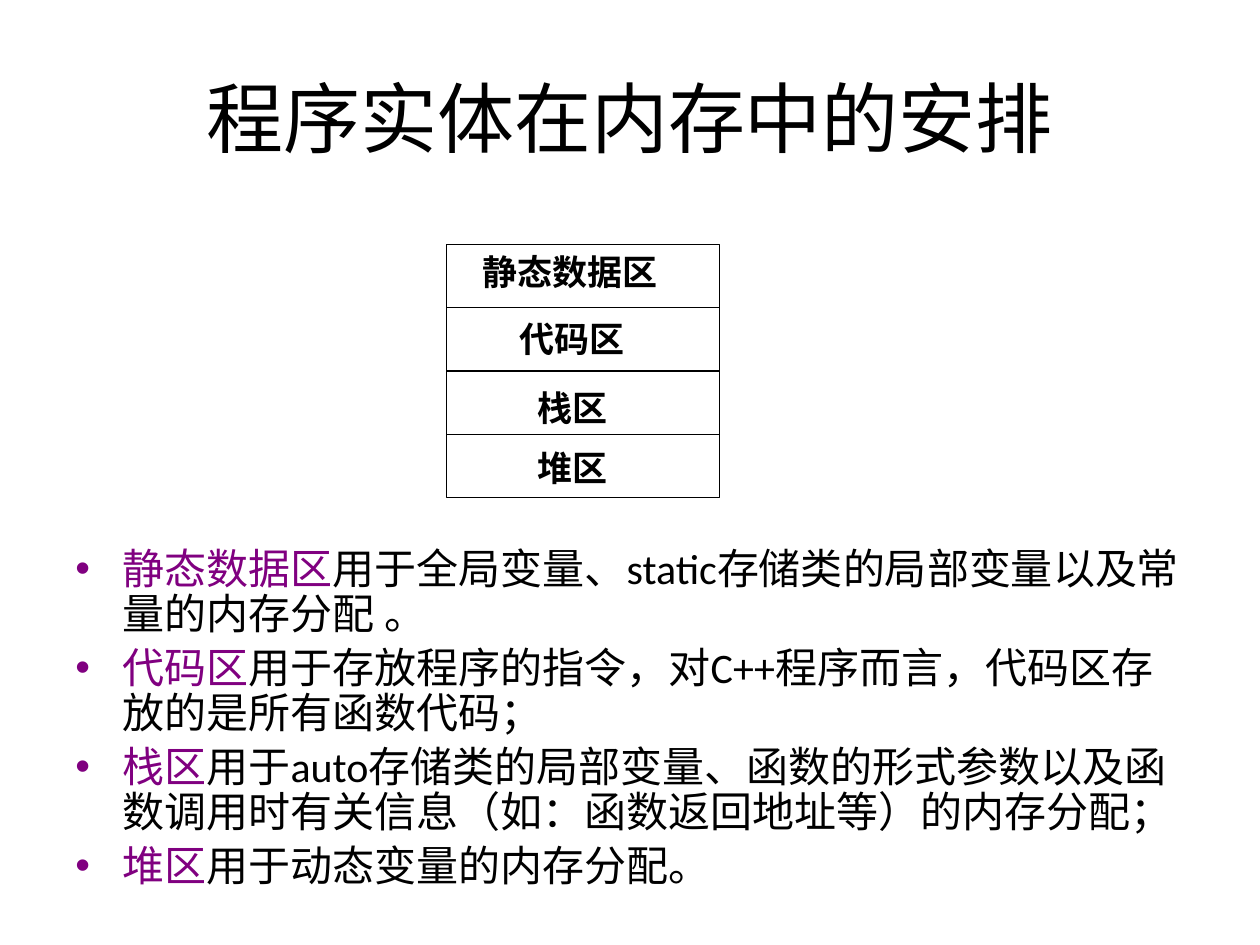
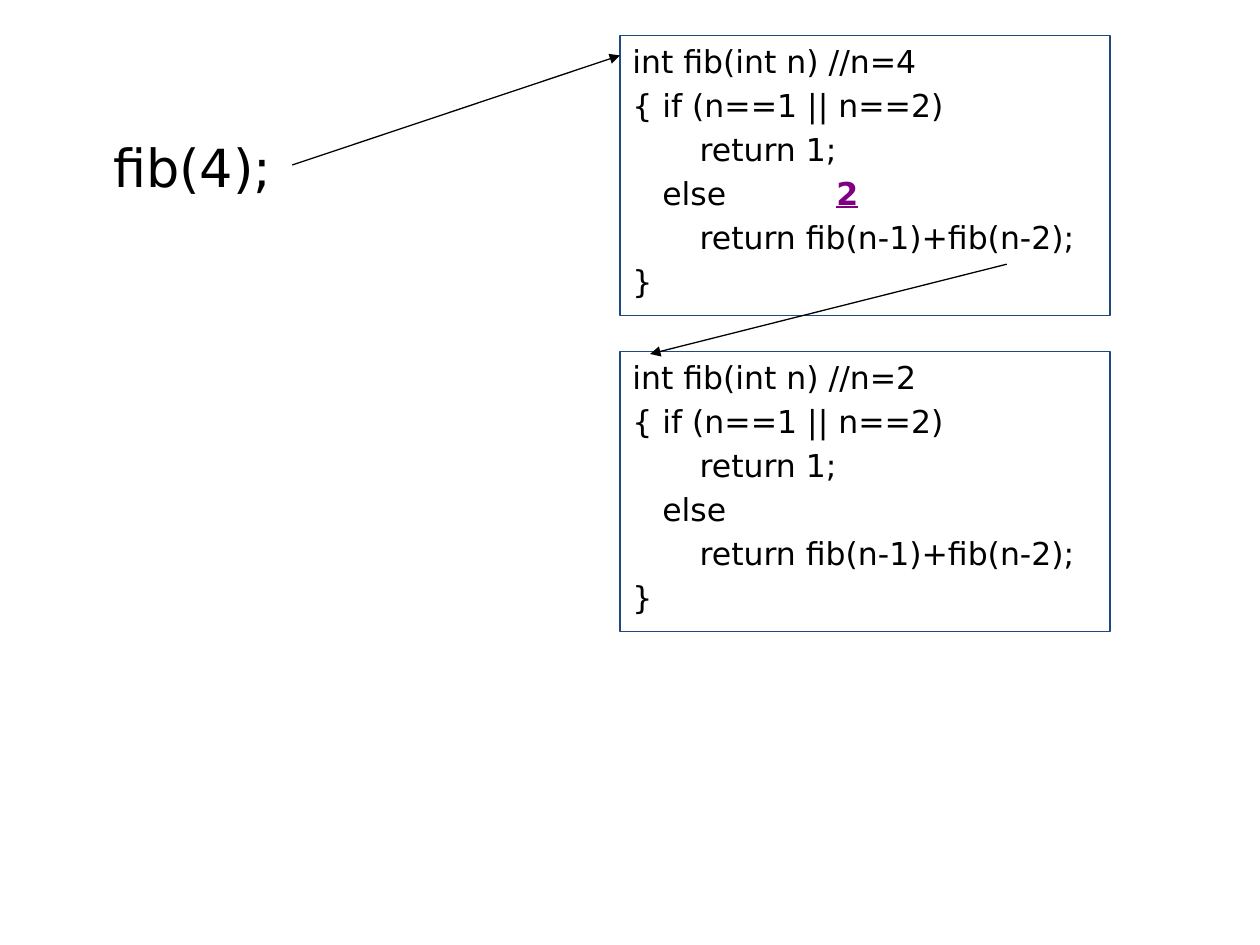
from pptx import Presentation
from pptx.dml.color import RGBColor
from pptx.enum.shapes import MSO_CONNECTOR, MSO_SHAPE
from pptx.enum.text import MSO_ANCHOR, PP_ALIGN
from pptx.oxml.ns import qn
from pptx.util import Pt
from lxml import etree

BLACK, WHITE, PURPLE, NAVY = "000000", "FFFFFF", "800080", "1F497D"
BODY_FONT, CODE_FONT = "Calibri", "DejaVu Sans"
LINE_WIDTH = 0.75


def color(value):
    return RGBColor.from_string(value)


def add_xml(parent, tag, **attributes):
    return etree.SubElement(parent, qn(tag), **attributes)


class SlideBuilder:
    """Holds the deck, the current page and the shared style."""

    def __init__(self, width, height):
        self.deck = Presentation()
        self.deck.slide_width, self.deck.slide_height = Pt(width), Pt(height)
        self.page = None

    def new_page(self):
        self.page = self.deck.slides.add_slide(self.deck.slide_layouts[6])

    def style(self, span, size, font, ink=BLACK, bold=False, underline=False):
        span.font.size, span.font.name = Pt(size), font
        span.font.color.rgb = color(ink)
        span.font.bold, span.font.underline = bold, underline

    def text(self, left, top, width, height, words, size, font,
             bold=False, centered=False, anchor=MSO_ANCHOR.TOP):
        box = self.page.shapes.add_textbox(Pt(left), Pt(top), Pt(width), Pt(height))
        frame = box.text_frame
        frame.word_wrap, frame.vertical_anchor = True, anchor
        frame.text = words
        para = frame.paragraphs[0]
        para.alignment = PP_ALIGN.CENTER if centered else PP_ALIGN.LEFT
        self.style(para.runs[0], size, font, bold=bold)

    def title(self, words):
        self.text(36, 21.6, 648, 90, words, 44, BODY_FONT,
                  centered=True, anchor=MSO_ANCHOR.MIDDLE)

    def bullets(self, left, top, width, height, items):
        box = self.page.shapes.add_textbox(Pt(left), Pt(top), Pt(width), Pt(height))
        frame = box.text_frame
        frame.word_wrap = True
        for index, (term, meaning) in enumerate(items):
            para = frame.add_paragraph() if index else frame.paragraphs[0]
            properties = para._p.get_or_add_pPr()
            properties.set("marL", str(Pt(27)))
            properties.set("indent", str(-Pt(27)))
            add_xml(properties, "a:buFont", typeface="Arial")
            add_xml(properties, "a:buChar", char="•")
            para.line_spacing = 0.9
            if index:
                para.space_before = Pt(4.8)
            for words, ink in ((term, PURPLE), (meaning, BLACK)):
                span = para.add_run()
                span.text = words
                self.style(span, 24, BODY_FONT, ink)

    def rectangle(self, left, top, width, height, line, fill=None):
        box = self.page.shapes.add_shape(
            MSO_SHAPE.RECTANGLE, Pt(left), Pt(top), Pt(width), Pt(height))
        box.shadow.inherit = False
        if fill:
            box.fill.solid()
            box.fill.fore_color.rgb = color(fill)
        else:
            box.fill.background()
        box.line.color.rgb, box.line.width = color(line), Pt(LINE_WIDTH)
        box.text_frame.vertical_anchor = MSO_ANCHOR.TOP
        return box

    def line(self, x1, y1, x2, y2, arrow=False):
        connector = self.page.shapes.add_connector(
            MSO_CONNECTOR.STRAIGHT, Pt(x1), Pt(y1), Pt(x2), Pt(y2))
        connector.line.color.rgb = color(BLACK)
        connector.line.width = Pt(LINE_WIDTH)
        if arrow:
            add_xml(connector.line._get_or_add_ln(), "a:tailEnd", type="triangle")
        add_xml(connector._element.spPr, "a:effectLst")
        return connector

    def fib_code(self, left, top, argument, result=None):
        """One call of fib; the result stands above its recursive call."""
        box = self.rectangle(left, top, 280, 160, NAVY, WHITE)
        lines = [f"int fib(int n) //n={argument}", "{ if (n==1 || n==2)",
                 "\t  return 1;", "   else",
                 "\t  return fib(n-1)+fib(n-2);", "}"]
        frame = box.text_frame
        frame.text = "\n".join(lines)
        for index, para in enumerate(frame.paragraphs):
            para.alignment = PP_ALIGN.LEFT
            stops = add_xml(para._p.get_or_add_pPr(), "a:tabLst")
            for position in (27, 116.6):
                add_xml(stops, "a:tab", pos=str(Pt(position)), algn="l")
            if index:
                para.space_before = Pt(3.6)
            self.style(para.runs[0], 18, CODE_FONT)
        if result:
            para = frame.paragraphs[3]
            para.runs[0].text += "\t"
            span = para.add_run()
            span.text = result
            self.style(span, 18, CODE_FONT, PURPLE, bold=True, underline=True)


def memory_page(builder):
    builder.new_page()
    builder.title("程序实体在内存中的安排")
    builder.bullets(36, 309.6, 648, 221, [
        ("静态数据区", "用于全局变量、static存储类的局部变量以及常量的内存分配 。"),
        ("代码区", "用于存放程序的指令，对C++程序而言，代码区存放的是所有函数代码；"),
        ("栈区", "用于auto存储类的局部变量、函数的形式参数以及"
                 "函数调用时有关信息（如：函数返回地址等）的内存分配；"),
        ("堆区", "用于动态变量的内存分配。"),
    ])

    # Memory map: one frame divided into four equal areas
    left, top, width, row = 255, 139.6, 156, 36.2
    memory = builder.rectangle(left, top, width, 4 * row, BLACK)
    memory.text_frame.margin_left = Pt(20.5)
    memory.text_frame.text = "静态数据区"
    para = memory.text_frame.paragraphs[0]
    para.alignment = PP_ALIGN.LEFT
    builder.style(para.runs[0], 20, CODE_FONT, bold=True)
    for number in (1, 2, 3):
        y = top + number * row
        divider = builder.line(left, y, left + width, y)
        if number == 2:
            divider.begin_connect(memory, 1)
            divider.end_connect(memory, 3)

    # Area names share one centre line
    for words, y in (("代码区", 177.8), ("栈区", 217.4), ("堆区", 251.5)):
        builder.text(277, y, 100, 31, words, 20, CODE_FONT,
                     bold=True, centered=True)


def recursion_page(builder):
    builder.new_page()
    builder.fib_code(354.3, 20.4, 4, result="2")
    builder.text(57.6, 73.4, 112.3, 43.2, "fib(4);", 30, CODE_FONT)
    builder.line(167, 94.3, 354.3, 31.7, arrow=True)
    builder.fib_code(354.3, 201, 2)
    builder.line(575.3, 151, 371.5, 202.3, arrow=True)


def main():
    builder = SlideBuilder(720, 540)
    memory_page(builder)
    recursion_page(builder)
    builder.deck.save("out.pptx")


if __name__ == "__main__":
    main()
